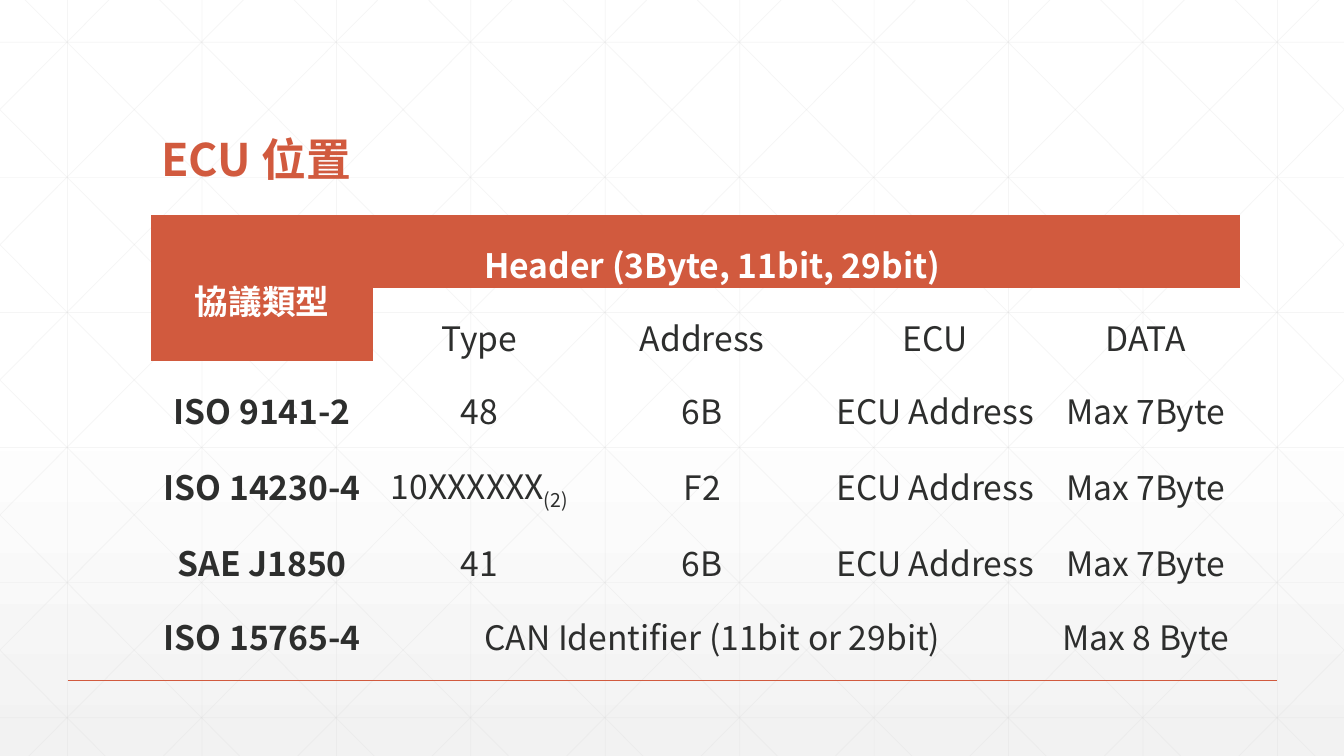
from dataclasses import dataclass

from lxml.etree import SubElement as Sub
from pptx import Presentation
from pptx.dml.color import RGBColor
from pptx.enum.shapes import MSO_CONNECTOR as Link
from pptx.enum.text import MSO_ANCHOR as Anchor, PP_ALIGN as Align
from pptx.oxml.ns import qn
from pptx.util import Inches, Pt

WIDE, HIGH = 13.33, 7.5
FONT = "Noto Sans CJK SC"
RED, DARK, WHITE, GREY = "D15A3E", "2D2E2D", "FFFFFF", "D9D9D9"
PLAIN = "{2D5ABB26-0587-4C30-8999-92F81FD0307C}"  # table style without grid
STEP = 4 / 3


@dataclass
class Line:
    x1: float
    y1: float
    x2: float
    y2: float
    color: str = GREY
    width: float = 0.5
    alpha: int = 25


@dataclass
class Span:
    row: int
    col: int
    down: int
    right: int


def paint(target, color: str) -> None:
    target.rgb = RGBColor.from_string(color)


def draw(shapes, line: Line) -> None:
    ends = [Inches(v) for v in (line.x1, line.y1, line.x2, line.y2)]
    link = shapes.add_connector(Link.STRAIGHT, *ends)
    link.line.width = Pt(line.width)
    paint(link.line.color, line.color)
    props = link.element.spPr
    if line.alpha < 100:
        tone = props.find(".//" + qn("a:srgbClr"))
        Sub(tone, qn("a:alpha"), val=str(line.alpha * 1000))
    Sub(props, qn("a:effectLst"))


def put(frame, text: str, *, size: int = 24, color: str = DARK, bold: bool = False,
        align=Align.CENTER, space: float = 1.5) -> None:
    """Write text; the part after an underscore is set as a subscript."""
    para = frame.paragraphs[0]
    para.alignment, para.line_spacing = align, space
    for i, part in enumerate(text.split("_")):
        run = para.add_run()
        run.text = part
        font = run.font
        font.size, font.bold, font.name = Pt(size), bold, FONT
        paint(font.color, color)
        props = run.font._element
        Sub(props, qn("a:ea"), typeface=FONT)
        if i:
            props.set("baseline", "-25000")


def slant(top: float) -> Line:
    """Falling line from x = top on the upper edge, clipped to the slide."""
    run = 7.46
    rate = HIGH / run
    x1, x2 = max(top, 0), min(top + run, WIDE)
    return Line(x1, (x1 - top) * rate, x2, (x2 - top) * rate)


def grid() -> list[Line]:
    ups = [Line(x, 0, x, HIGH) for x in (0.67 + STEP * i for i in range(10))]
    flats = [Line(0, y, WIDE, y) for y in (0.42 + 1.34 * i for i in range(6))]
    falls = [slant(0.25 + STEP * i) for i in range(-5, 10)]
    rises = [Line(WIDE - f.x1, f.y1, WIDE - f.x2, f.y2) for f in falls]
    return ups + flats + falls + rises


COLS = [2.2, 2.11, 2.31, 2.31, 1.87]
ROWS = [
    ["協議類型", "Header (3Byte, 11bit, 29bit)", "", "", ""],
    ["", "Type", "Address", "ECU", "DATA"],
    ["ISO 9141-2", "48", "6B", "ECU Address", "Max 7Byte"],
    ["ISO 14230-4", "10XXXXXX_(2)", "F2", "ECU Address", "Max 7Byte"],
    ["SAE J1850", "41", "6B", "ECU Address", "Max 7Byte"],
    ["ISO 15765-4", "CAN Identifier (11bit or 29bit)", "", "", "Max 8 Byte"],
]
SPANS = [Span(0, 0, 2, 1), Span(0, 1, 1, 3), Span(5, 1, 1, 3)]


def build_table(shapes) -> None:
    box = [Inches(v) for v in (1.5, 2.13, sum(COLS), 0.7 * len(ROWS))]
    frame = shapes.add_table(len(ROWS), len(COLS), *box)
    frame.element.find(".//" + qn("a:tableStyleId")).text = PLAIN
    table = frame.table
    table.horz_banding = False
    for col, width in zip(table.columns, COLS):
        col.width = Inches(width)
    for r, row in enumerate(ROWS):
        for c, text in enumerate(row):
            cell = table.cell(r, c)
            cell.vertical_anchor = Anchor.MIDDLE
            cell.margin_left = cell.margin_right = Inches(0.07)
            cell.margin_top = cell.margin_bottom = 0
            head = r == 0 or (r == 1 and c == 0)
            if head:
                cell.fill.solid()
                paint(cell.fill.fore_color, RED)
            else:
                cell.fill.background()
            if text:
                put(cell.text_frame, text, color=WHITE if head else DARK,
                    bold=head or c == 0)
    for s in SPANS:
        last = table.cell(s.row + s.down - 1, s.col + s.right - 1)
        table.cell(s.row, s.col).merge(last)


def main() -> None:
    deck = Presentation()
    deck.slide_width, deck.slide_height = Inches(WIDE), Inches(HIGH)
    slide = deck.slides.add_slide(deck.slide_layouts[5])
    shapes = slide.shapes

    # Background: white fading to light grey
    fill = slide.background.fill
    fill.gradient()
    fill.gradient_angle = 270
    for stop, (place, color) in zip(fill.gradient_stops, [(0.53, WHITE), (1, "F2F2F2")]):
        stop.position = place
        paint(stop.color, color)

    # Grid and base rule
    for line in grid():
        draw(shapes, line)
    draw(shapes, Line(0.67, 6.75, 12.67, 6.75, RED, 1, 100))

    # Title, in front of the grid
    title = shapes.title
    shapes.element.append(title.element)
    title.left, title.top = Inches(1.5), Inches(0.65)
    title.width, title.height = Inches(10.5), Inches(1.25)
    title.text_frame.vertical_anchor = Anchor.BOTTOM
    put(title.text_frame, "ECU 位置", size=32, color=RED, bold=True,
        align=Align.LEFT, space=0.9)

    # Protocol table
    build_table(shapes)
    deck.save("out.pptx")


if __name__ == "__main__":
    main()
